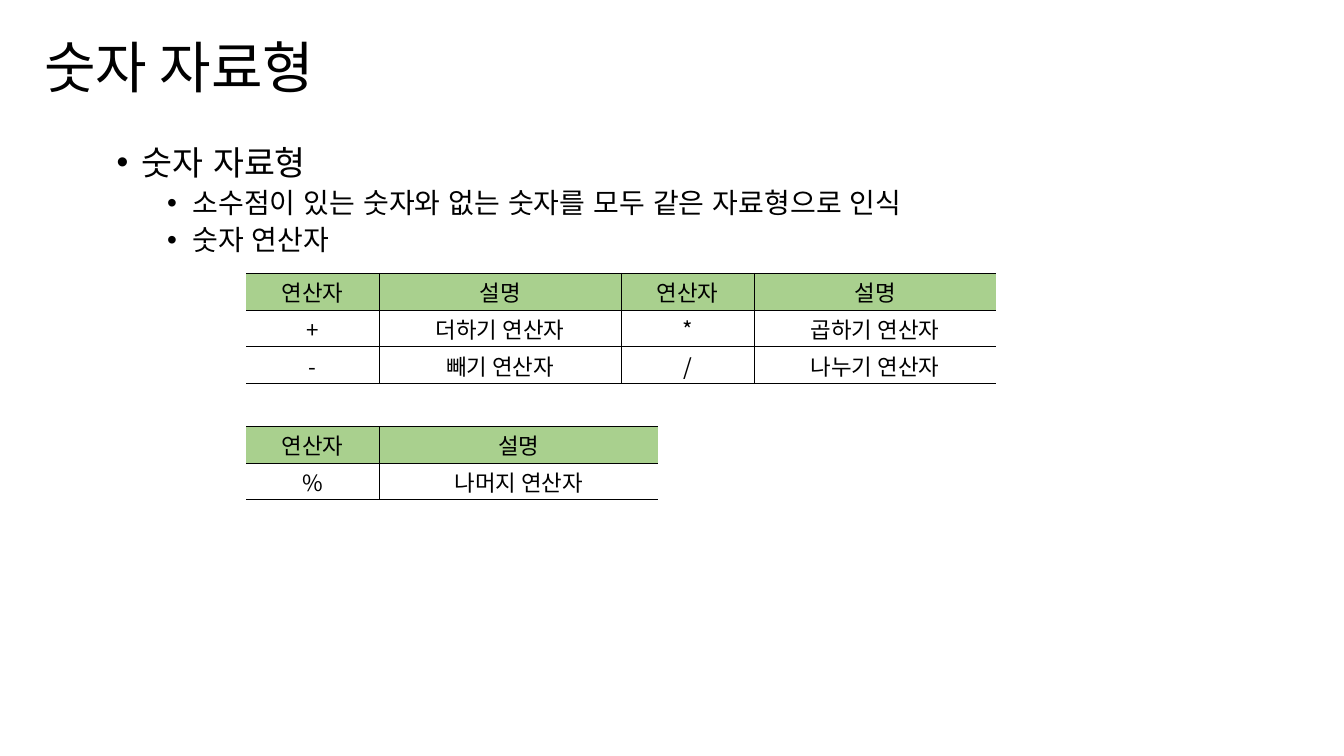
from lxml import etree
from pptx import Presentation, util as u
from pptx.dml.color import RGBColor
from pptx.enum import text
from pptx.oxml import ns

COLORS = {"ink": "000000", "header": "A9D08E"}
KOREAN = "Noto Sans CJK KR"
LATIN = "Arial"
BULLET_STYLES = {1: (0.75, 24), 2: (1.25, 20)}


def add_element(parent, tag, **attributes):
    return etree.SubElement(parent, ns.qn(tag), **attributes)


def style_paragraph(paragraph, size, name):
    font = paragraph.font
    font.size = u.Pt(size)
    font.color.rgb = RGBColor.from_string(COLORS["ink"])
    font.name = name
    add_element(font._element, "a:ea", typeface=name)


def set_title(slide, wording):
    title = slide.shapes.title
    title.left, title.top = u.Inches(0.34), u.Inches(0.35)
    title.width, title.height = u.Inches(6.97), u.Inches(0.77)
    frame = title.text_frame
    frame.text = wording
    frame.auto_size = text.MSO_AUTO_SIZE.NONE
    frame.vertical_anchor = text.MSO_ANCHOR.TOP
    paragraph = frame.paragraphs[0]
    paragraph.alignment = text.PP_ALIGN.LEFT
    paragraph.line_spacing = 0.9
    style_paragraph(paragraph, 40, KOREAN)


def add_bullets(slide, items):
    box = slide.shapes.add_textbox(
        u.Inches(0.56), u.Inches(1.4), u.Inches(12.34), u.Inches(5.47))
    frame = box.text_frame
    frame.word_wrap = True
    for index, (level, wording) in enumerate(items):
        indent, size = BULLET_STYLES[level]
        paragraph = frame.add_paragraph() if index else frame.paragraphs[0]
        paragraph.text = wording
        paragraph.level = level
        paragraph.line_spacing = 0.9
        paragraph.space_before = u.Pt(5 if index else 0)
        properties = paragraph._p.get_or_add_pPr()
        properties.set("marL", str(u.Inches(indent)))
        properties.set("indent", str(u.Inches(-0.25)))
        add_element(properties, "a:buFont", typeface=LATIN)
        add_element(properties, "a:buChar", char="•")
        style_paragraph(paragraph, size, LATIN)


def set_borders(cell, is_first, is_last):
    properties = cell._tc.get_or_add_tcPr()
    visible = {"L": not is_first, "R": not is_last, "T": True, "B": True}
    for side, shown in visible.items():
        line = add_element(properties, f"a:ln{side}", w=str(u.Pt(0.5)))
        if shown:
            fill = add_element(line, "a:solidFill")
            add_element(fill, "a:srgbClr", val=COLORS["ink"])
        else:
            add_element(line, "a:noFill")


def format_cell(cell, wording, is_header):
    cell.text = wording
    cell.vertical_anchor = text.MSO_ANCHOR.MIDDLE
    cell.margin_left = cell.margin_right = cell.margin_top = u.Inches(0.01)
    cell.margin_bottom = 0
    if is_header:
        cell.fill.solid()
        cell.fill.fore_color.rgb = RGBColor.from_string(COLORS["header"])
    else:
        cell.fill.background()
    paragraph = cell.text_frame.paragraphs[0]
    paragraph.alignment = text.PP_ALIGN.CENTER
    style_paragraph(paragraph, 16, KOREAN)


def add_operator_table(slide, top, widths, rows):
    row_height = u.Inches(0.364)
    table = slide.shapes.add_table(
        len(rows), len(widths), u.Inches(2.44), u.Inches(top),
        u.Inches(sum(widths)), row_height * len(rows)).table
    table.first_row = table.horz_banding = False
    for column, width in zip(table.columns, widths):
        column.width = u.Inches(width)
    for row_index, row in enumerate(rows):
        for column_index, wording in enumerate(row):
            cell = table.cell(row_index, column_index)
            set_borders(cell, column_index == 0, column_index == len(row) - 1)
            format_cell(cell, wording, row_index == 0)


def main():
    presentation = Presentation()
    presentation.slide_width = u.Inches(13.33)
    presentation.slide_height = u.Inches(7.5)
    slide = presentation.slides.add_slide(presentation.slide_layouts[5])
    set_title(slide, "숫자 자료형")
    add_bullets(slide, [
        (1, "숫자 자료형"),
        (2, "소수점이 있는 숫자와 없는 숫자를 모두 같은 자료형으로 인식"),
        (2, "숫자 연산자"),
    ])
    header = ["연산자", "설명"]
    add_operator_table(slide, 2.71, [1.32, 2.4] * 2, [
        header * 2,
        ["+", "더하기 연산자", "*", "곱하기 연산자"],
        ["-", "빼기 연산자", "/", "나누기 연산자"],
    ])
    add_operator_table(slide, 4.23, [1.32, 2.77], [
        header,
        ["%", "나머지 연산자"],
    ])
    presentation.save("out.pptx")


if __name__ == "__main__":
    main()
